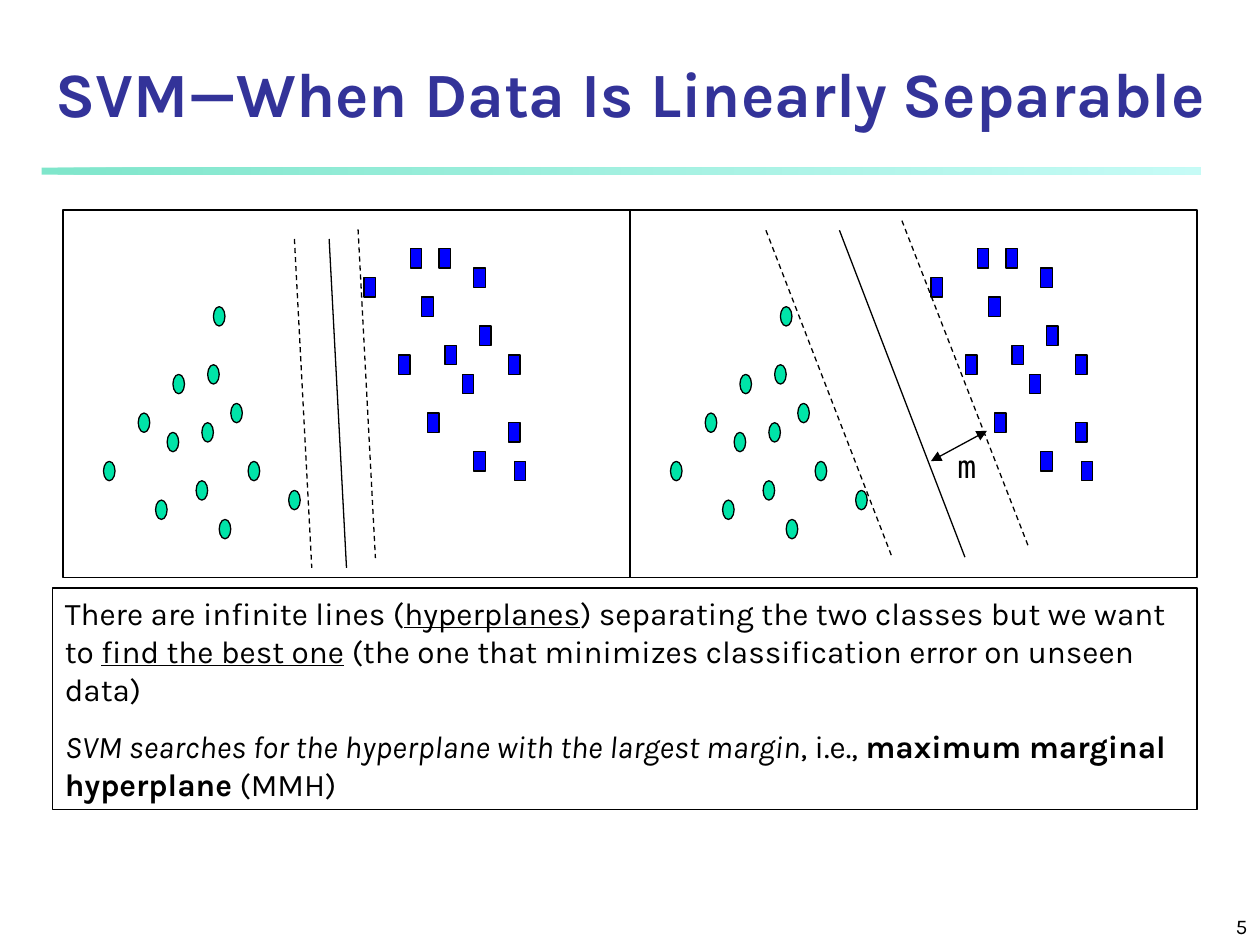
from lxml import etree
from pptx import Presentation
from pptx.dml.color import RGBColor
from pptx.enum.dml import MSO_LINE
from pptx.enum.shapes import MSO_CONNECTOR, MSO_SHAPE
from pptx.enum.text import MSO_ANCHOR, MSO_AUTO_SIZE, PP_ALIGN
from pptx.oxml.ns import qn
from pptx.util import Pt

OVAL, RECT = MSO_SHAPE.OVAL, MSO_SHAPE.RECTANGLE
DASH = MSO_LINE.DASH
LEFT, MID, RIGHT = PP_ALIGN.LEFT, PP_ALIGN.CENTER, PP_ALIGN.RIGHT
TOP, BOTTOM = MSO_ANCHOR.TOP, MSO_ANCHOR.BOTTOM

HEX = {"title": "333399", "ink": "000000", "oval": "00E4A8",
       "rect": "0000FF", "bar1": "00CE98", "bar2": "8FF9EF"}
FONT, MONO = "Karla", "DejaVu Sans Mono"

COLS, ROWS = 98, 38
OVALS = [(16, 30), (18, 23), (7, 26), (13, 21), (23, 28), (19, 17), (24, 22),
         (25, 16), (29, 20), (32, 26), (27, 32), (39, 29), (26, 10)]
RECTS = [(58, 15), (52, 7), (60, 4), (63, 21), (62, 9), (66, 14), (65, 4),
         (71, 6), (69, 17), (72, 12), (71, 25), (77, 15), (77, 22), (78, 26)]
STEEP = [(51, 2, 54, 36, DASH), (40, 3, 43, 37, DASH), (46, 3, 49, 37, None)]
WIDE = [(23.5, 2.1, 45.3, 35.9, DASH), (47, 1.1, 68.8, 34.7, DASH),
        (36.2, 2.1, 57.9, 35.9, None)]

PLAIN, UNDER, SLANT, BOLD = "", "underline", "italic", "bold"
NOTES = [
    [("There are infinite lines (", PLAIN), ("hyperplanes", UNDER),
     (") separating the two classes but we want to ", PLAIN),
     ("find the best one", UNDER),
     (" (the one that minimizes classification error on unseen data)", PLAIN)],
    [("SVM searches for the hyperplane with the largest margin", SLANT),
     (", i.e., ", PLAIN), ("maximum marginal hyperplane", BOLD),
     (" (MMH)", PLAIN)],
]


def color(name):
    return RGBColor.from_string(HEX[name])


def place(box):
    return [Pt(round(n, 2)) for n in box]


def add_shape(shapes, kind, box, fill=None):
    shape = shapes.add_shape(kind, *place(box))
    shape.shadow.inherit = False
    if fill:
        shape.fill.solid()
        shape.fill.fore_color.rgb = color(fill)
    else:
        shape.fill.background()
    shape.line.color.rgb = color("ink")
    shape.line.width = Pt(0.75)
    return shape


def add_line(shapes, ends, dash=None):
    line = shapes.add_connector(MSO_CONNECTOR.STRAIGHT, *place(ends))
    line.line.color.rgb = color("ink")
    line.line.width = Pt(0.75)
    if dash:
        line.line.dash_style = dash
    etree.SubElement(line._element.spPr, qn("a:effectLst"))
    return line


def style(para, size, align=LEFT, font=FONT, ink="ink", gap=0):
    para.alignment = align
    para.space_before = Pt(gap)
    para.font.size = Pt(size)
    para.font.name = font
    para.font.color.rgb = color(ink)


def set_frame(frame, anchor):
    frame.word_wrap = True
    frame.auto_size = MSO_AUTO_SIZE.NONE
    frame.vertical_anchor = anchor


def add_label(slide, box, text, anchor, size, **look):
    frame = slide.shapes.add_textbox(*place(box)).text_frame
    set_frame(frame, anchor)
    frame.text = text
    style(frame.paragraphs[0], size, **look)


def add_title(slide, box):
    title = slide.shapes.title
    title.left, title.top, title.width, title.height = place(box)
    frame = title.text_frame
    set_frame(frame, BOTTOM)
    frame.text = "SVM—When Data Is Linearly Separable"
    para = frame.paragraphs[0]
    style(para, 36, MID, ink="title")
    para.font.bold = True


def add_bar(slide, box):
    bar = add_shape(slide.shapes, RECT, box)
    bar.line.fill.background()
    bar.fill.gradient()
    bar.fill.gradient_angle = 0
    for stop, name in zip(bar.fill.gradient_stops, ("bar1", "bar2")):
        stop.color.rgb = color(name)
    for node in bar._element.spPr.iter(qn("a:srgbClr")):
        etree.SubElement(node, qn("a:alpha"), val="50000")


def add_panel(slide, box, lines):
    left, top, width, height = box
    dx, dy = width / COLS, height / ROWS
    shapes = slide.shapes.add_group_shape().shapes
    for kind, fill, spots in ((OVAL, "oval", OVALS), (RECT, "rect", RECTS)):
        for col, row in spots:
            spot = (left + col * dx, top + row * dy, 2 * dx, 2 * dy)
            add_shape(shapes, kind, spot, fill)
    add_shape(shapes, RECT, box)
    for x1, y1, x2, y2, dash in lines:
        ends = (left + x1 * dx, top + y1 * dy, left + x2 * dx, top + y2 * dy)
        add_line(shapes, ends, dash)


def add_margin(slide, box):
    left, top, width, height = box
    arrow = add_line(slide.shapes, (left, top + height, left + width, top))
    pen = arrow.line._get_or_add_ln()
    for end in ("a:headEnd", "a:tailEnd"):
        etree.SubElement(pen, qn(end), type="triangle")
    add_label(slide, (left + 8, top + 5.8, 42, 29), "m", TOP, 18,
              font=MONO, gap=11.2)


def add_notes(slide, box):
    frame = add_shape(slide.shapes, RECT, box).text_frame
    set_frame(frame, TOP)
    for i, parts in enumerate(NOTES):
        para = frame.add_paragraph() if i else frame.paragraphs[0]
        style(para, 18, gap=11.2)
        for text, look in parts:
            run = para.add_run()
            run.text = text
            if look:
                setattr(run.font, look, True)


def main():
    deck = Presentation()
    deck.slide_width, deck.slide_height = Pt(720), Pt(540)
    slide = deck.slides.add_slide(deck.slide_layouts[5])
    add_bar(slide, (23.75, 95.75, 662.5, 4))
    add_label(slide, (570, 510, 150, 30), "5", BOTTOM, 12, align=RIGHT)
    add_title(slide, (0, 30, 720, 48))
    for i, lines in enumerate((STEEP, WIDE)):
        add_panel(slide, (36 + i * 324, 120, 324, 210), lines)
    add_margin(slide, (532, 246.2, 32, 17.3))
    add_notes(slide, (30, 336, 654, 126.5))
    deck.save("out.pptx")


if __name__ == "__main__":
    main()
